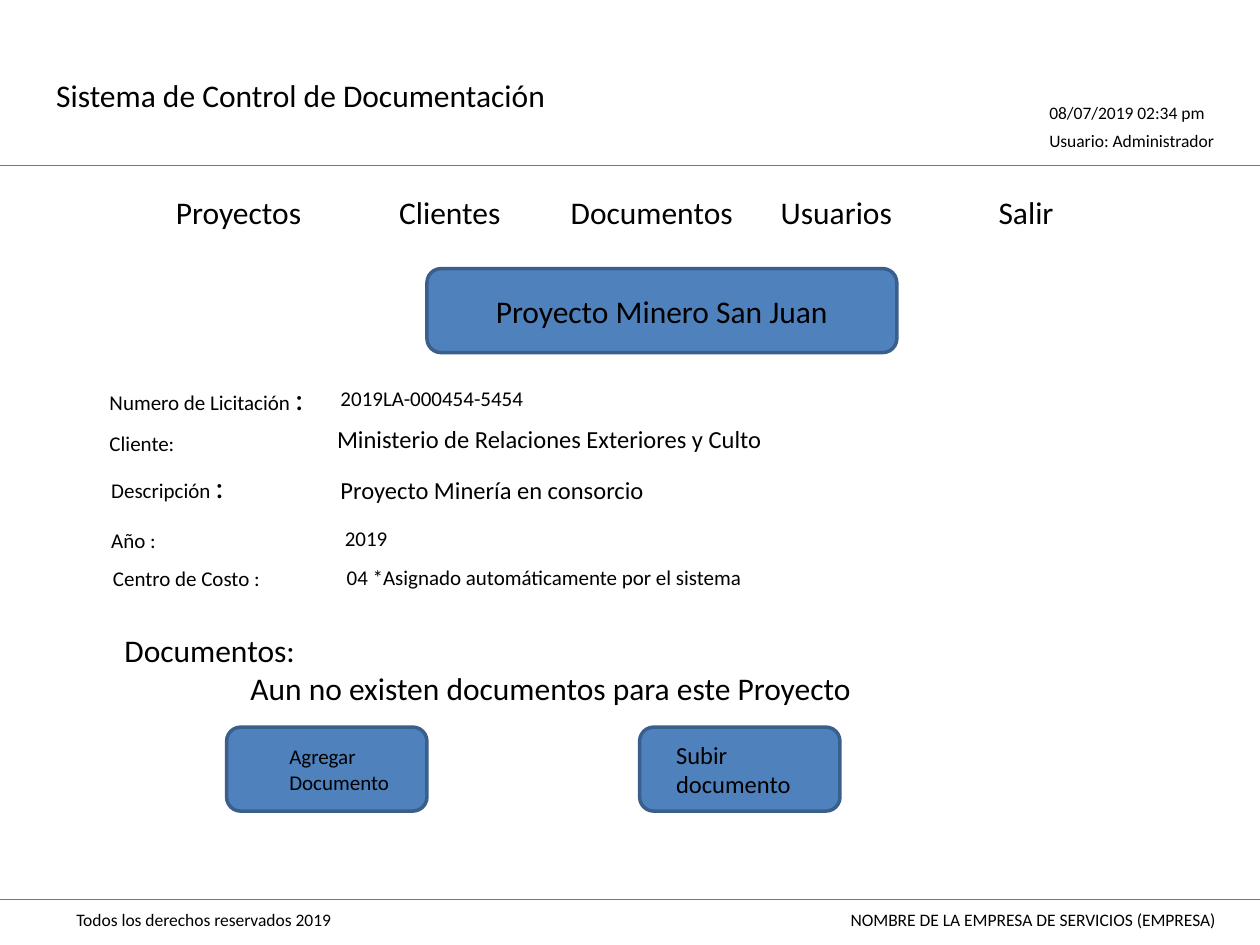
from dataclasses import dataclass

from lxml import etree
from pptx import Presentation
from pptx.dml.color import RGBColor
from pptx.enum.shapes import MSO_CONNECTOR, MSO_SHAPE
from pptx.enum.text import MSO_ANCHOR, PP_ALIGN
from pptx.oxml.ns import qn
from pptx.util import Pt

ROUND = MSO_SHAPE.ROUNDED_RECTANGLE
LINE = MSO_CONNECTOR.STRAIGHT
MIDDLE = MSO_ANCHOR.MIDDLE
LEFT = PP_ALIGN.LEFT


@dataclass(frozen=True)
class Theme:
    font: str = "Calibri"
    ink: RGBColor = RGBColor(0, 0, 0)
    fill: RGBColor = RGBColor(0x4F, 0x81, 0xBD)
    edge: RGBColor = RGBColor(0x3A, 0x5F, 0x8C)
    rule: RGBColor = RGBColor(0x4B, 0x7E, 0xBC)
    tiny: int = 10
    small: int = 12
    mid: int = 14
    big: int = 18


THEME = Theme()
WIDE, HIGH = 720, 540


def add_run(para, text, size):
    run = para.add_run()
    run.text = text
    run.font.name = THEME.font
    run.font.size = Pt(size)
    run.font.color.rgb = THEME.ink


def write(frame, text, size=THEME.big, tail="", indent=0):
    frame.word_wrap = True
    for i, line in enumerate(text.split("\n")):
        para = frame.paragraphs[0] if i == 0 else frame.add_paragraph()
        para.alignment = LEFT
        if i and indent:
            para._p.get_or_add_pPr().set("marL", str(Pt(indent)))
        add_run(para, line, size)
    if tail:
        add_run(para, tail, THEME.big)


def label(slide, box, text, **style):
    area = slide.shapes.add_textbox(*map(Pt, box))
    write(area.text_frame, text, **style)


def button(slide, box, text, left, right, **style):
    shape = slide.shapes.add_shape(ROUND, *map(Pt, box))
    shape.shadow.inherit = False
    shape.fill.solid()
    shape.fill.fore_color.rgb = THEME.fill
    shape.line.color.rgb = THEME.edge
    shape.line.width = Pt(2)
    frame = shape.text_frame
    frame.vertical_anchor = MIDDLE
    frame.margin_left, frame.margin_right = Pt(left), Pt(right)
    write(frame, text, **style)


def rule(slide, left, top, width):
    line = slide.shapes.add_connector(
        LINE, Pt(left), Pt(top), Pt(left + width), Pt(top))
    line.line.color.rgb = THEME.rule
    line.line.width = Pt(0.75)
    etree.SubElement(line._element.spPr, qn("a:effectLst"))


def header(slide, box):
    x, y, w, h = box
    label(slide, (x + 25, y + 40, 323, 29), "Sistema de Control de Documentación")
    status = ["08/07/2019 02:34 pm", "Usuario: Administrador"]
    for i, text in enumerate(status):
        label(slide, (x + 592.5, y + 55 + 15.5 * i, 118, 19), text,
              size=THEME.tiny)
    rule(slide, x, y + h, w)


def menu(slide, box):
    x, y, w, h = box
    items = [("Proyectos", 0, 102), ("Clientes", 127.5, 82),
             ("Documentos", 225.5, 109), ("Usuarios", 345.5, 109),
             ("Salir", 470, 63)]
    for text, left, width in items:
        label(slide, (x + left, y, width, h), text)


def details(slide, box):
    x, y, w, h = box
    rows = [
        ("Numero de Licitación ", ":", 0, 0,
         "2019LA-000454-5454", 132, 3.5, THEME.small),
        ("Cliente:", "", 0, 29.5,
         "Ministerio de Relaciones Exteriores y Culto", 130, 26, THEME.mid),
        ("Descripción ", ":", 1, 50.5,
         "Proyecto Minería en consorcio", 132, 55, THEME.mid),
        ("Año :", "", 1, 85, "2019", 134.5, 84, THEME.small),
        ("Centro de Costo :", "", 2, 106.5,
         "04 *Asignado automáticamente por el sistema", 135.5, 106,
         THEME.small),
    ]
    for name, tail, left, top, value, start, drop, size in rows:
        label(slide, (x + left, y + top, 130, 29 if tail else 22), name,
              size=THEME.small, tail=tail)
        label(slide, (x + start, y + drop, w - start, 24), value, size=size)


def files(slide, box):
    x, y, w, h = box
    label(slide, (x, y, w, 51),
          "Documentos:\nAun no existen documentos para este Proyecto",
          indent=72)
    buttons = [("Agregar Documento", 65.5, 33.5, 14, THEME.small),
               ("Subir documento", 301.5, 18.5, 12, THEME.mid)]
    for text, left, inset, right, size in buttons:
        button(slide, (x + left, y + 58.5, 114.5, 48), text, inset, right,
               size=size)


def footer(slide, box):
    x, y, w, h = box
    rule(slide, x, y, w)
    notes = [("Todos los derechos reservados 2019", 36.5, 215),
             ("NOMBRE DE LA EMPRESA DE SERVICIOS (EMPRESA)", 479, 236)]
    for text, left, width in notes:
        label(slide, (x + left, y + 2, width, 19), text, size=THEME.tiny)


def main():
    deck = Presentation()
    deck.slide_width, deck.slide_height = Pt(WIDE), Pt(HIGH)
    slide = deck.slides.add_slide(deck.slide_layouts[6])
    header(slide, (0, 0, WIDE, 94.5))
    menu(slide, (93.5, 107, 533, 29))
    button(slide, (244, 153.5, 268.5, 48), "Proyecto Minero San Juan", 37, 7)
    details(slide, (55.5, 213, 508, 128))
    files(slide, (64, 357, 619, 107))
    footer(slide, (0, 514, WIDE, 26))
    deck.save("out.pptx")


if __name__ == "__main__":
    main()
